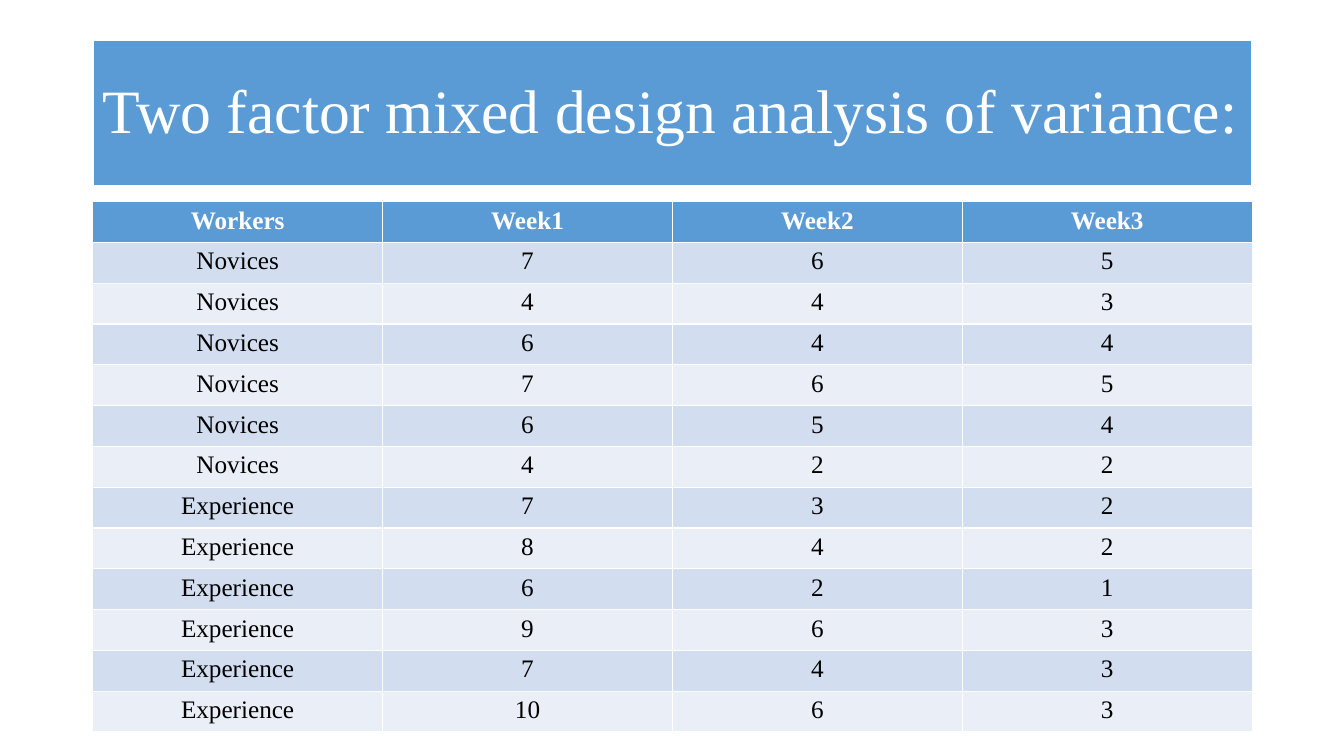
from dataclasses import dataclass

from pptx import Presentation
from pptx import util as u
from pptx.dml.color import RGBColor
from pptx.enum import text


@dataclass(frozen=True)
class Theme:
    font: str = "Times New Roman"
    title_size: int = 44
    table_size: int = 18
    accent: RGBColor = RGBColor(0x5B, 0x9B, 0xD5)
    dark_band: RGBColor = RGBColor(0xD2, 0xDE, 0xEF)
    light_band: RGBColor = RGBColor(0xEA, 0xEF, 0xF7)
    white: RGBColor = RGBColor(0xFF, 0xFF, 0xFF)
    black: RGBColor = RGBColor(0x00, 0x00, 0x00)


def style_paragraph(para, size, color, align, bold=False):
    para.alignment = align
    para.font.name = theme.font
    para.font.size = u.Pt(size)
    para.font.color.rgb = color
    para.font.bold = bold


theme = Theme()
left, width = u.Inches(0.92), u.Inches(11.5)
row_height = u.Inches(0.405)

header = ["Workers", "Week1", "Week2", "Week3"]
scores = {
    "Novices": [(7, 6, 5), (4, 4, 3), (6, 4, 4), (7, 6, 5), (6, 5, 4), (4, 2, 2)],
    "Experience": [(7, 3, 2), (8, 4, 2), (6, 2, 1), (9, 6, 3), (7, 4, 3), (10, 6, 3)],
}
rows = [header] + [[group, *weeks] for group, trials in scores.items() for weeks in trials]

deck = Presentation()
deck.slide_width, deck.slide_height = u.Inches(13.33), u.Inches(7.5)
page = deck.slides.add_slide(deck.slide_layouts[5])

title = page.shapes.title
title.left, title.top, title.width, title.height = left, u.Inches(0.4), width, u.Inches(1.45)
title.fill.solid()
title.fill.fore_color.rgb = theme.accent
title.line.color.rgb = theme.white
title.line.width = u.Pt(1.5)
frame = title.text_frame
frame.text = "Two factor mixed design analysis of variance:"
frame.word_wrap = True
frame.auto_size = text.MSO_AUTO_SIZE.NONE
frame.vertical_anchor = text.MSO_ANCHOR.MIDDLE
style_paragraph(frame.paragraphs[0], theme.title_size, theme.white, text.PP_ALIGN.JUSTIFY)
frame.paragraphs[0].line_spacing = 0.9

table = page.shapes.add_table(
    len(rows), len(header), left, u.Inches(2), width, row_height * len(rows)
).table
for row_index, values in enumerate(rows):
    table.rows[row_index].height = row_height
    is_header = row_index == 0
    band = theme.dark_band if row_index % 2 else theme.light_band
    for column_index, value in enumerate(values):
        cell = table.cell(row_index, column_index)
        cell.text = str(value)
        cell.fill.solid()
        cell.fill.fore_color.rgb = theme.accent if is_header else band
        style_paragraph(
            cell.text_frame.paragraphs[0],
            theme.table_size,
            theme.white if is_header else theme.black,
            text.PP_ALIGN.CENTER,
            bold=is_header,
        )

deck.save("out.pptx")
